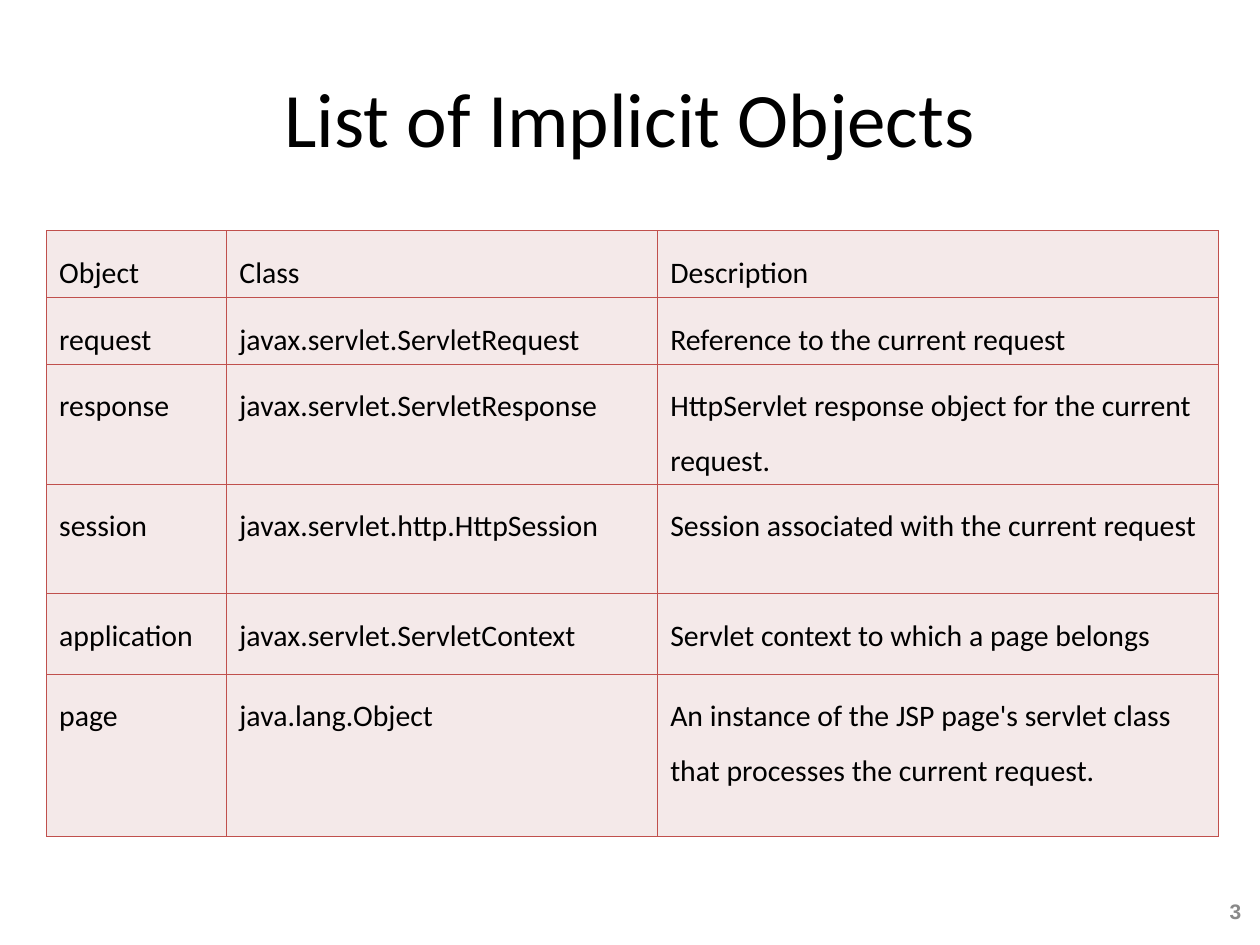
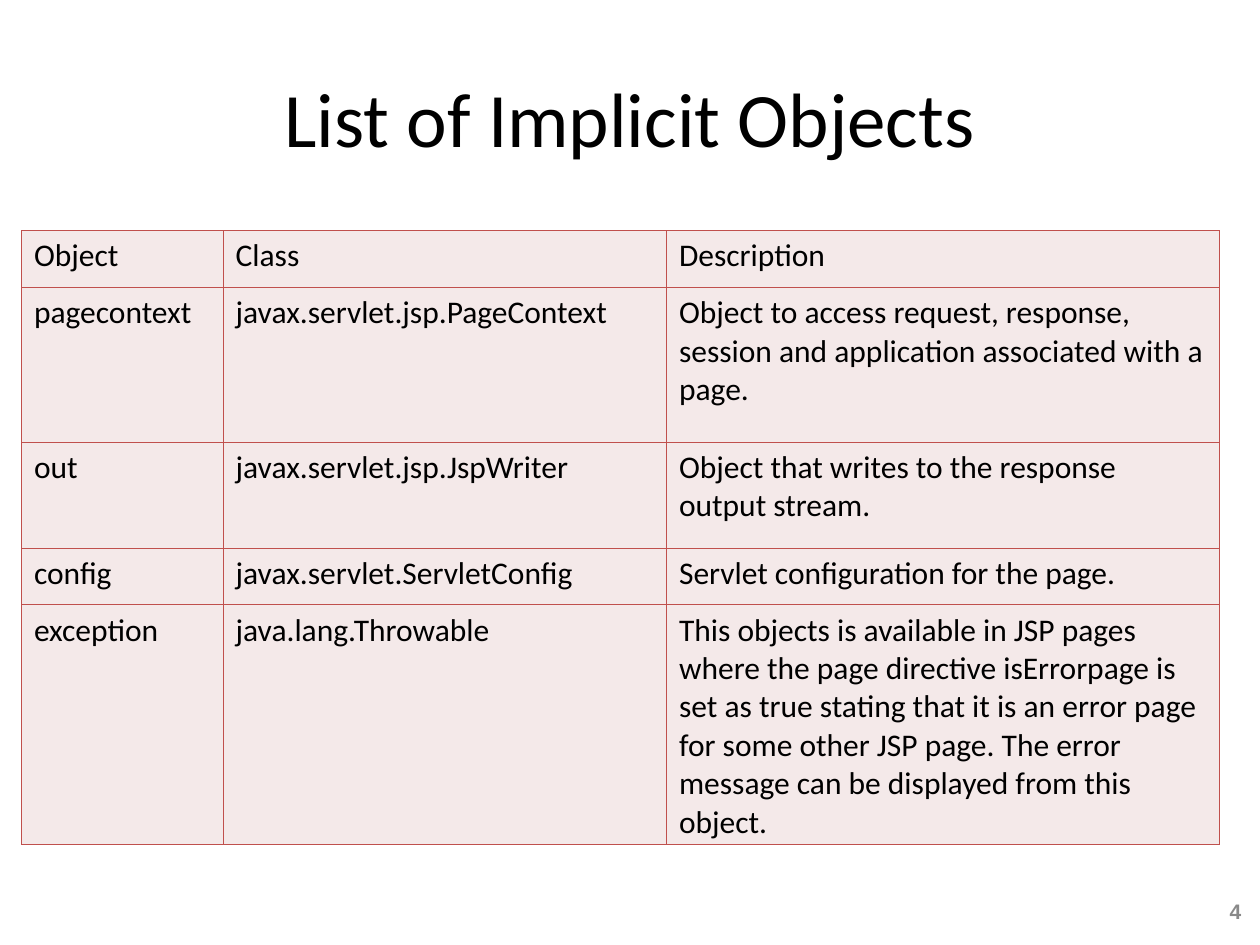
from dataclasses import dataclass

from lxml import etree
from pptx import Presentation
from pptx.dml import color
from pptx.enum import text
from pptx.oxml import ns
from pptx.util import Inches, Pt


@dataclass(frozen=True)
class Theme:
    ink: str = "000000"
    cell_fill: str = "F4E9E9"
    grid: str = "C0504D"
    muted: str = "898989"
    body_font: str = "Calibri"
    number_font: str = "Arial"
    title_size: int = 44
    number_size: int = 12
    grid_width: float = 0.45


THEME = Theme()
TITLE = "List of Implicit Objects"
HEADINGS = ("Object", "Class", "Description")
TABLE_TOP = 1.83

REQUEST_OBJECTS = [
    ("request", "javax.servlet.ServletRequest", "Reference to the current request"),
    ("response", "javax.servlet.ServletResponse",
     "HttpServlet response object for the current request."),
    ("session", "javax.servlet.http.HttpSession",
     "Session associated with the current request"),
    ("application", "javax.servlet.ServletContext",
     "Servlet context to which a page belongs"),
    ("page", "java.lang.Object",
     "An instance of the JSP page's servlet class that processes the current request."),
]
PAGE_OBJECTS = [
    ("pagecontext", "javax.servlet.jsp.PageContext",
     "Object to access request, response, session and application "
     "associated with a page."),
    ("out", "javax.servlet.jsp.JspWriter",
     "Object that writes to the response output stream."),
    ("config", "javax.servlet.ServletConfig", "Servlet configuration for the page."),
    ("exception", "java.lang.Throwable",
     "This objects is available in JSP pages where the page directive isErrorpage "
     "is set as true stating that it is an error page for some other JSP page. "
     "The error message can be displayed from this object."),
]


def style_font(font, size, name=THEME.body_font, ink=THEME.ink, bold=False):
    font.size = Pt(size)
    font.name = name
    font.bold = bold
    font.color.rgb = color.RGBColor.from_string(ink)


def add_label(slide, wording, left, top, width, height, align, **font):
    frame = slide.shapes.add_textbox(*map(Inches, (left, top, width, height))).text_frame
    frame.word_wrap = True
    frame.vertical_anchor = text.MSO_ANCHOR.MIDDLE
    paragraph = frame.paragraphs[0]
    paragraph.text = wording
    paragraph.alignment = align
    style_font(paragraph.font, **font)


def outline_cell(cell):
    properties = cell._tc.get_or_add_tcPr()
    for side in ("lnL", "lnR", "lnT", "lnB"):
        line = etree.SubElement(properties, ns.qn(f"a:{side}"),
                                w=str(Pt(THEME.grid_width)))
        fill = etree.SubElement(line, ns.qn("a:solidFill"))
        etree.SubElement(fill, ns.qn("a:srgbClr"), val=THEME.grid)


def fill_cell(cell, wording, size, spacing):
    outline_cell(cell)
    cell.fill.solid()
    cell.fill.fore_color.rgb = color.RGBColor.from_string(THEME.cell_fill)
    paragraph = cell.text_frame.paragraphs[0]
    paragraph.text = wording
    style_font(paragraph.font, size)
    for setting, value in spacing.items():
        setattr(paragraph, setting, value)


def add_object_table(slide, objects, left, widths, heights, size, **spacing):
    rows = [HEADINGS, *objects]
    table = slide.shapes.add_table(
        len(rows), len(HEADINGS), Inches(left), Inches(TABLE_TOP),
        Inches(sum(widths)), Inches(sum(heights))).table
    table.first_row = table.horz_banding = False
    for column, width in zip(table.columns, widths):
        column.width = Inches(width)
    for row, height, wordings in zip(table.rows, heights, rows):
        row.height = Inches(height)
        for cell, wording in zip(row.cells, wordings):
            fill_cell(cell, wording, size, spacing)


def add_titled_slide(deck, number):
    slide = deck.slides.add_slide(deck.slide_layouts[6])
    add_label(slide, TITLE, 0.5, 0.3, 9, 1.25, text.PP_ALIGN.CENTER,
              size=THEME.title_size)
    add_label(slide, str(number), 9.46, 7.06, 0.49, 0.35, text.PP_ALIGN.RIGHT,
              size=THEME.number_size, name=THEME.number_font,
              ink=THEME.muted, bold=True)
    return slide


def main():
    deck = Presentation()
    deck.slide_width, deck.slide_height = Inches(10), Inches(7.5)
    add_object_table(add_titled_slide(deck, 3), REQUEST_OBJECTS, 0.37,
                     (1.43, 3.42, 4.45), (0.53, 0.53, 0.95, 0.87, 0.64, 1.29),
                     17, line_spacing=1.5)
    add_object_table(add_titled_slide(deck, 4), PAGE_OBJECTS, 0.17,
                     (1.6, 3.52, 4.39), (0.45, 1.23, 0.84, 0.45, 1.9),
                     18, space_before=Pt(12))
    deck.save("out.pptx")


if __name__ == "__main__":
    main()
